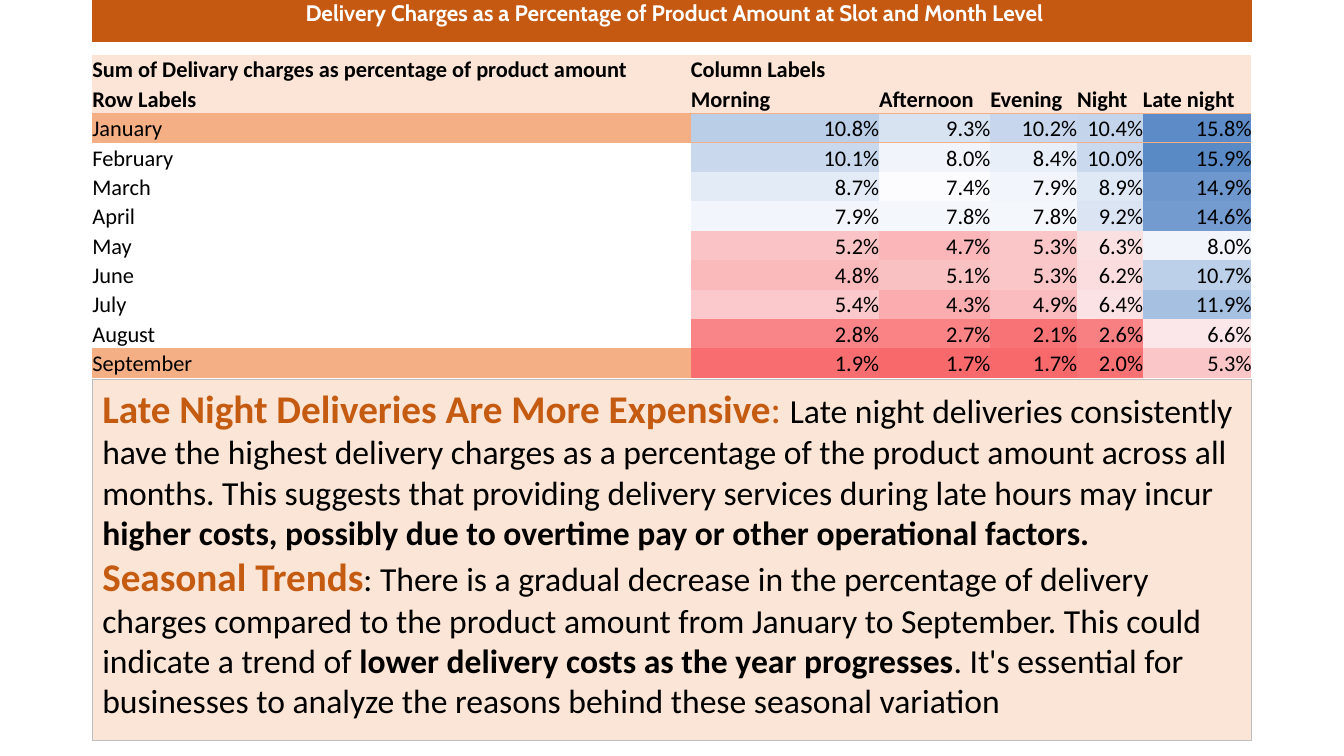
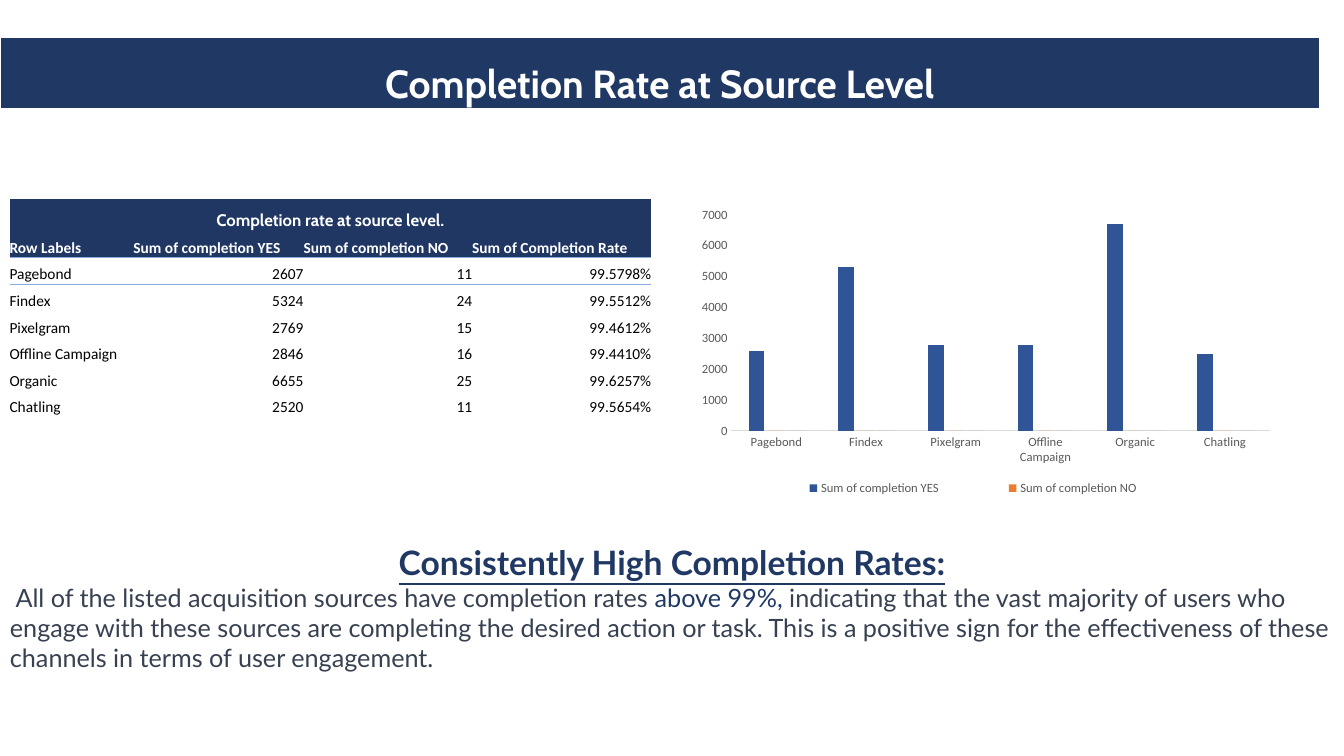
from dataclasses import dataclass

from pptx import Presentation
from pptx.chart.data import CategoryChartData
from pptx.dml.color import RGBColor
from pptx.enum.chart import XL_CHART_TYPE, XL_LEGEND_POSITION, XL_TICK_MARK
from pptx.enum.shapes import MSO_SHAPE
from pptx.enum.text import MSO_ANCHOR, PP_ALIGN
from pptx.oxml import parse_xml
from pptx.oxml.ns import nsdecls
from pptx.util import Pt


@dataclass(frozen=True)
class Theme:
    white: str = "FFFFFF"
    black: str = "000000"
    orange: str = "C65911"
    orange_text: str = "C55A11"
    orange_mid: str = "F4B084"
    orange_head: str = "FCE4D6"
    orange_panel: str = "FBE5D6"
    panel_line: str = "BDBDBD"
    navy: str = "203864"
    navy_head: str = "203764"
    navy_rule: str = "8EA9DB"
    slate: str = "374151"
    axis_text: str = "595959"
    axis_line: str = "D9D9D9"
    series: tuple = ("2F5597", "ED7D31", "A5A5A5")
    heat: tuple = ("F8696B", "FCFCFF", "5A8AC6")
    title_font: str = "Cabin"
    body_font: str = "Calibri"
    note_font: str = "Lato"
    title: int = 28
    small_title: int = 16
    heading: int = 28
    body: int = 24
    note_heading: int = 24
    note: int = 18
    heat_text: int = 16
    caption: int = 12
    source_text: int = 11
    chart_text: int = 10
    axis: int = 9


THEME = Theme()

SLOTS = ["Morning", "Afternoon", "Evening", "Night", "Late night"]
CHARGES = {
    "January": [10.8, 9.3, 10.2, 10.4, 15.8],
    "February": [10.1, 8.0, 8.4, 10.0, 15.9],
    "March": [8.7, 7.4, 7.9, 8.9, 14.9],
    "April": [7.9, 7.8, 7.8, 9.2, 14.6],
    "May": [5.2, 4.7, 5.3, 6.3, 8.0],
    "June": [4.8, 5.1, 5.3, 6.2, 10.7],
    "July": [5.4, 4.3, 4.9, 6.4, 11.9],
    "August": [2.8, 2.7, 2.1, 2.6, 6.6],
    "September": [1.9, 1.7, 1.7, 2.0, 5.3],
}
MARKED_MONTHS = {"January", "September"}
HEAT_STOPS = (1.7, 7.4, 15.9)

HEADING = dict(size=THEME.heading, color=THEME.orange_text, bold=True)
BODY = dict(size=THEME.body, color=THEME.black)
STRONG = dict(BODY, bold=True)
CHARGE_FINDINGS = [
    [
        ("Late Night Deliveries Are More Expensive", HEADING),
        (": ", dict(HEADING, bold=False)),
        ("Late night deliveries consistently have the highest delivery charges as a "
         "percentage of the product amount across all months. This suggests that "
         "providing delivery services during late hours may incur ", BODY),
        ("higher costs, possibly due to overtime pay or other operational factors.", STRONG),
    ],
    [
        ("Seasonal Trends", HEADING),
        (": There is a gradual decrease in the percentage of delivery charges compared "
         "to the product amount from January to September. This could indicate a trend of ", BODY),
        ("lower delivery costs as the year progresses", STRONG),
        (". It's essential for businesses to analyze the reasons behind these "
         "seasonal variation", BODY),
    ],
]

MEASURES = ["Sum of completion YES", "Sum of completion NO", "Sum of Completion Rate"]
SOURCES = {
    "Pagebond": ("2607", "11", "99.5798%"),
    "Findex": ("5324", "24", "99.5512%"),
    "Pixelgram": ("2769", "15", "99.4612%"),
    "Offline Campaign": ("2846", "16", "99.4410%"),
    "Organic": ("6655", "25", "99.6257%"),
    "Chatling": ("2520", "11", "99.5654%"),
}
CHART_SERIES = {
    "Sum of completion YES": [2600, 5300, 2800, 2800, 6700, 2500],
    "Sum of completion NO": [0] * len(SOURCES),
    "Series 3": [0] * len(SOURCES),
}

NOTE = dict(size=THEME.note, color=THEME.slate, font=THEME.note_font)
COMPLETION_FINDINGS = [
    [("Consistently High Completion Rates:",
      dict(size=THEME.note_heading, color=THEME.navy, font=THEME.note_font,
           bold=True, underline=True))],
    [
        (" All of the listed acquisition sources have completion rates ", NOTE),
        ("above 99%, ", dict(NOTE, color=THEME.navy)),
        ("indicating that the vast majority of users who engage with these sources are "
         "completing the desired action or task. This is a positive sign for the "
         "effectiveness of these channels in terms of user engagement.", NOTE),
    ],
]


def rgb(color):
    return RGBColor.from_string(color)


def add_text(para, text, *, size, color=THEME.black, font=THEME.body_font,
             bold=False, underline=False, align=None):
    span = para.add_run()
    span.text = text
    span.font.size = Pt(size)
    span.font.name = font
    span.font.bold = bold
    span.font.underline = underline
    span.font.color.rgb = rgb(color)
    if align is not None:
        para.alignment = align


def add_paragraphs(frame, paragraphs, aligns):
    frame.word_wrap = True
    for index, (spans, align) in enumerate(zip(paragraphs, aligns)):
        para = frame.add_paragraph() if index else frame.paragraphs[0]
        for text, style in spans:
            add_text(para, text, align=align, **style)


def add_grid(page, left, top, widths, heights):
    """Add a table with no built-in style."""
    holder = page.shapes.add_table(len(heights), len(widths), Pt(left), Pt(top),
                                   Pt(sum(widths)), Pt(sum(heights)))
    holder.element.xpath(".//a:tableStyleId")[0].text = "{2D5ABB26-0587-4C30-8999-92F81FD0307C}"
    table = holder.table
    table.first_row = table.horz_banding = False
    for column, width in zip(table.columns, widths):
        column.width = Pt(width)
    for row, height in zip(table.rows, heights):
        row.height = Pt(height)
    return table


def fill_cell(cell, text, *, fill=None, rule=None, sides="B", rule_width=0.5,
              anchor=MSO_ANCHOR.BOTTOM, **style):
    """Format one cell; sides lists ruled edges in the order L, R, T, B."""
    cell.margin_left = cell.margin_right = cell.margin_top = cell.margin_bottom = 0
    cell.vertical_anchor = anchor
    if fill:
        cell.fill.solid()
        cell.fill.fore_color.rgb = rgb(fill)
    else:
        cell.fill.background()
    if rule:
        properties = cell._tc.get_or_add_tcPr()
        for index, side in enumerate(sides):
            properties.insert(index, parse_xml(
                f'<a:ln{side} {nsdecls("a")} w="{Pt(rule_width)}"><a:solidFill>'
                f'<a:srgbClr val="{rule}"/></a:solidFill></a:ln{side}>'))
    add_text(cell.text_frame.paragraphs[0], text, **style)


def add_title_band(page, title, left, top, width, height, **style):
    band = add_grid(page, left, top, [width], [height])
    fill_cell(band.cell(0, 0), title, color=THEME.white, font=THEME.title_font,
              bold=True, align=PP_ALIGN.CENTER, **style)


def heat_color(value):
    """Blend the low, middle and high heat colours."""
    low, middle, high = HEAT_STOPS
    upper = value >= middle
    share = (value - middle) / (high - middle) if upper else (middle - value) / (middle - low)
    start, end = rgb(THEME.heat[1]), rgb(THEME.heat[2 if upper else 0])
    return str(RGBColor(*(round(a + (b - a) * share) for a, b in zip(start, end))))


def add_charge_table(page):
    widths = [427.5, 134.5, 79.5, 62, 47, 77.5]
    table = add_grid(page, 66, 39, widths, [21] * (len(CHARGES) + 2))
    text = dict(size=THEME.heat_text)
    head = dict(text, bold=True, fill=THEME.orange_head)
    captions = ["Sum of Delivary charges as percentage of product amount", "Column Labels"]
    captions += [""] * (len(widths) - len(captions))
    for column, (caption, label) in enumerate(zip(captions, ["Row Labels", *SLOTS])):
        fill_cell(table.cell(0, column), caption, **head)
        fill_cell(table.cell(1, column), label, rule=THEME.orange_mid, **head)
    for row, (month, charges) in enumerate(CHARGES.items(), 2):
        line = dict(text, rule=THEME.orange_mid if row == 2 else None, sides="T")
        mark = THEME.orange_mid if month in MARKED_MONTHS else None
        fill_cell(table.cell(row, 0), month, fill=mark, **line)
        for column, charge in enumerate(charges, 1):
            fill_cell(table.cell(row, column), f"{charge:.1f}%", fill=heat_color(charge),
                      align=PP_ALIGN.RIGHT, **line)


def add_findings_panel(page):
    panel = page.shapes.add_shape(MSO_SHAPE.RECTANGLE, Pt(66), Pt(271), Pt(828), Pt(258))
    panel.shadow.inherit = False
    panel.fill.solid()
    panel.fill.fore_color.rgb = rgb(THEME.orange_panel)
    panel.line.color.rgb = rgb(THEME.panel_line)
    panel.line.width = Pt(0.75)
    panel.text_frame.vertical_anchor = MSO_ANCHOR.TOP
    add_paragraphs(panel.text_frame, CHARGE_FINDINGS, [PP_ALIGN.LEFT] * 2)


def add_source_table(page):
    widths = [88.5, 121.5, 120.5, 128]
    table = add_grid(page, 6.8, 142.5, widths, [22.5] + [19] * (len(SOURCES) + 1))
    text = dict(size=THEME.source_text)
    head = dict(color=THEME.white, bold=True, fill=THEME.navy_head)
    table.cell(0, 0).merge(table.cell(0, len(MEASURES)))
    fill_cell(table.cell(0, 0), "Completion rate at source level.", size=THEME.caption,
              font=THEME.title_font, align=PP_ALIGN.CENTER, **head)
    for column, label in enumerate(["Row Labels", *MEASURES]):
        fill_cell(table.cell(1, column), label, rule=THEME.navy_rule, **text, **head)
    for row, (source, values) in enumerate(SOURCES.items(), 2):
        line = dict(text, rule=THEME.navy_rule if row == 2 else None, sides="T")
        fill_cell(table.cell(row, 0), source, **line)
        for column, value in enumerate(values, 1):
            fill_cell(table.cell(row, column), value, align=PP_ALIGN.RIGHT, **line)


def manual_layout(x, y, width, height, target=""):
    return parse_xml(
        f'<c:layout {nsdecls("c")}><c:manualLayout>{target}'
        '<c:xMode val="edge"/><c:yMode val="edge"/>'
        f'<c:x val="{x}"/><c:y val="{y}"/><c:w val="{width}"/><c:h val="{height}"/>'
        '</c:manualLayout></c:layout>')


def set_font(font, size, color):
    font.name = THEME.body_font
    font.size = Pt(size)
    font.color.rgb = rgb(color)


def add_source_chart(page):
    data = CategoryChartData()
    data.categories = list(SOURCES)
    for name, values in CHART_SERIES.items():
        data.add_series(name, values)
    chart = page.shapes.add_chart(XL_CHART_TYPE.COLUMN_CLUSTERED, Pt(487.5), Pt(142.5),
                                  Pt(437), Pt(220.5), data).chart
    chart.has_title = False
    set_font(chart.font, THEME.chart_text, THEME.black)
    plot = chart.plots[0]
    plot.vary_by_categories = False
    plot.gap_width, plot.overlap = 219, -27
    for series, color in zip(plot.series, THEME.series):
        series.format.fill.solid()
        series.format.fill.fore_color.rgb = rgb(color)

    for axis in (chart.category_axis, chart.value_axis):
        axis.major_tick_mark = axis.minor_tick_mark = XL_TICK_MARK.NONE
        axis.has_major_gridlines = False
        set_font(axis.tick_labels.font, THEME.axis, THEME.axis_text)
    chart.category_axis.format.line.color.rgb = rgb(THEME.axis_line)
    chart.category_axis.format.line.width = Pt(0.75)
    chart.value_axis.format.line.fill.background()
    chart.value_axis.minimum_scale, chart.value_axis.maximum_scale = 0, 7000
    chart.value_axis.major_unit = 1000

    chart.has_legend = True
    chart.legend.position = XL_LEGEND_POSITION.RIGHT
    chart.legend.include_in_layout = False
    set_font(chart.legend.font, THEME.axis, THEME.axis_text)
    position = chart.element.xpath(".//c:legendPos")[0]
    position.addnext(manual_layout(0.1, 0.89, 0.75, 0.09))
    position.addnext(parse_xml(f'<c:legendEntry {nsdecls("c")}><c:idx val="2"/>'
                               '<c:delete val="1"/></c:legendEntry>'))
    plot_area = chart.element.xpath(".//c:plotArea")[0]
    for layout in plot_area.xpath("./c:layout"):
        plot_area.remove(layout)
    plot_area.insert(0, manual_layout(0.08, 0.05, 0.88, 0.7, '<c:layoutTarget val="inner"/>'))


def main():
    deck = Presentation()
    deck.slide_width, deck.slide_height = Pt(960), Pt(540)
    blank = deck.slide_layouts[6]

    page = deck.slides.add_slide(blank)
    add_title_band(page, " Delivery Charges as a Percentage of Product Amount at Slot and Month Level",
                   66, 0, 828, 30, fill=THEME.orange, size=THEME.small_title,
                   anchor=MSO_ANCHOR.TOP)
    add_charge_table(page)
    add_findings_panel(page)

    page = deck.slides.add_slide(blank)
    add_source_table(page)
    add_source_chart(page)
    add_title_band(page, "Completion Rate at Source Level", 0, 26.5, 942.5, 51,
                   fill=THEME.navy, size=THEME.title,
                   rule=THEME.white, sides="LRTB", rule_width=1)
    note = page.shapes.add_textbox(0, Pt(383.5), Pt(960), Pt(101.5))
    add_paragraphs(note.text_frame, COMPLETION_FINDINGS, [PP_ALIGN.CENTER, PP_ALIGN.LEFT])

    deck.save("out.pptx")


if __name__ == "__main__":
    main()
